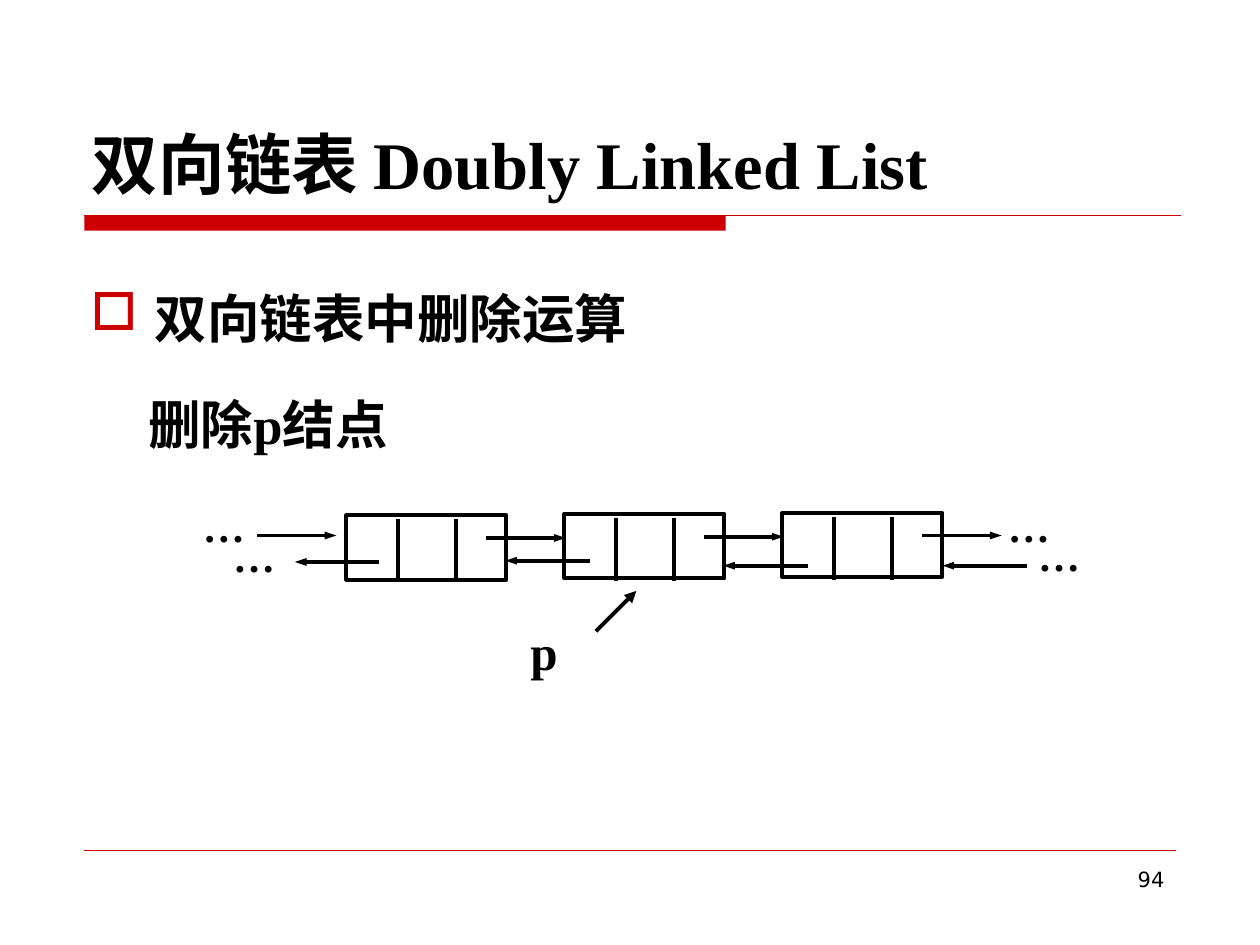
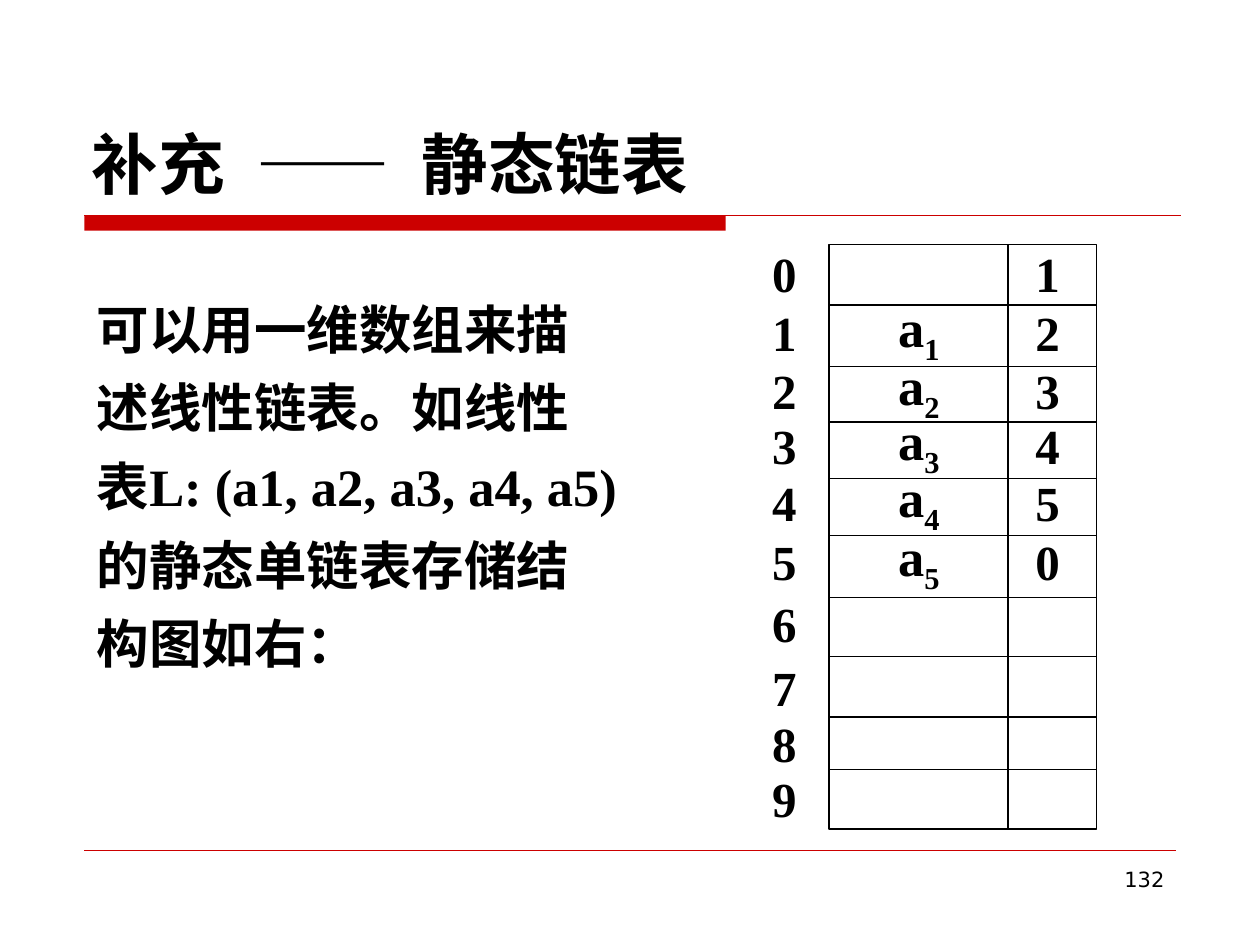
from lxml.etree import SubElement
from pptx import Presentation
from pptx.dml.color import RGBColor
from pptx.enum.shapes import MSO_CONNECTOR, MSO_SHAPE
from pptx.enum.text import MSO_ANCHOR, MSO_AUTO_SIZE, PP_ALIGN
from pptx.oxml.ns import qn
from pptx.util import Inches, Pt

COLORS = {"ink": "000000", "accent": "CC0000", "paper": "FFFFFF"}
SERIF, SANS = "Times New Roman", "DejaVu Sans"

LIST_TITLE = [("双向链表 Doubly Linked List", {})]
ARRAY_TITLE = [("补充", {}), (" ", {"spacing": 950}), ("——", {}),
               (" ", {"spacing": 950}), ("静态链表", {})]
DELETE_HEADING = "双向链表中删除运算"
DELETE_STEP = "删除p结点"
ARRAY_TEXT = [
    ("可以用一维数组来描述线性链表。如线性表", {"font": SANS}),
    ("L: (a1, a2, a3, a4, a5)", {}),
    ("的静态单链表存储结构图如右：", {"font": SANS}),
]

NODE_COUNT = 3
NODE_LEFT, NODE_TOP, NODE_STEP = 2.75, 4.09, 1.73
NODE_WIDTH, NODE_HEIGHT = 1.27, 0.51
FIELD_OFFSETS = (0.41, 0.87)
LINK_LENGTH = 0.63
BACK_LINKS = [(3.01, 4.46), (4.68, 4.45), (6.41, 4.49), (8.15, 4.49)]
BACK_LENGTH = 0.67
ELLIPSES = [(1.61, 3.97), (1.85, 4.21), (8, 3.97), (8.24, 4.2)]

GRID_LEFT, GRID_SPLIT, GRID_RIGHT = 6.58, 8, 8.7
GRID_TOP, GRID_BOTTOM = 1.94, 6.58
ARRAY_ROWS = [
    (1.94, 1.88, "", "1"),
    (2.42, 2.35, "1", "2"),
    (2.91, 2.81, "2", "3"),
    (3.35, 3.25, "3", "4"),
    (3.8, 3.7, "4", "5"),
    (4.25, 4.17, "5", "0"),
    (4.74, 4.66, "", ""),
    (5.21, 5.17, "", ""),
    (5.69, 5.61, "", ""),
    (6.11, 6.05, "", ""),
]


def color(name):
    return RGBColor.from_string(COLORS[name])


def write(para, spans, size=28, font=SERIF, bold=True, align=None,
          line=None, before=None, after=None):
    para.alignment = align
    para.line_spacing = line
    para.space_before = None if before is None else Pt(before)
    para.space_after = None if after is None else Pt(after)
    for text, style in spans:
        span = para.add_run()
        span.text = text
        span.font.name = style.get("font", font)
        span.font.size = Pt(size)
        span.font.bold = bold
        span.font.color.rgb = color("ink")
        for key, attribute in (("spacing", "spc"), ("baseline", "baseline")):
            if key in style:
                span.font._element.set(attribute, str(style[key]))


def add_box(slide, left, top, width, height, inset=True):
    box = slide.shapes.add_textbox(Inches(left), Inches(top), Inches(width), Inches(height))
    frame = box.text_frame
    frame.word_wrap = True
    if not inset:
        frame.margin_left = frame.margin_right = 0
        frame.margin_top = frame.margin_bottom = 0
    return frame


def add_text(slide, text, left, top, width, height, inset=True, **style):
    spans = [(text, {})] if isinstance(text, str) else text
    write(add_box(slide, left, top, width, height, inset).paragraphs[0], spans, **style)


def add_line(slide, start, end, weight, ink="ink", head=None):
    line = slide.shapes.add_connector(
        MSO_CONNECTOR.STRAIGHT, *(Inches(value) for value in start + end))
    line.line.color.rgb = color(ink)
    line.line.width = Pt(weight)
    if head:
        SubElement(line.line._get_or_add_ln(), qn("a:tailEnd"),
                   type="triangle", w=head, len="med")
    SubElement(line._element.spPr, qn("a:effectLst"))


def add_rect(slide, left, top, width, height, fill="paper", weight=None):
    rect = slide.shapes.add_shape(
        MSO_SHAPE.RECTANGLE, Inches(left), Inches(top), Inches(width), Inches(height))
    rect.shadow.inherit = False
    rect.fill.solid()
    rect.fill.fore_color.rgb = color(fill)
    if weight is None:
        rect.line.fill.background()
    else:
        rect.line.color.rgb = color("ink")
        rect.line.width = Pt(weight)


def add_page(deck, title_spans, number):
    slide = deck.slides.add_slide(deck.slide_layouts[5])
    add_rect(slide, 0.67, 1.71, 5.09, 0.12, fill="accent")
    add_line(slide, (0.67, 1.71), (9.37, 1.71), 0.75, "accent")
    add_line(slide, (0.67, 6.75), (9.33, 6.75), 0.25, "accent")
    add_text(slide, number, 7.17, 6.83, 2.17, 0.52,
             size=12, font=SANS, bold=False, align=PP_ALIGN.RIGHT)
    title = slide.shapes.title
    title.left, title.top = Inches(0.63), Inches(0.33)
    title.width, title.height = Inches(8.75), Inches(1.33)
    frame = title.text_frame
    frame.auto_size = MSO_AUTO_SIZE.NONE
    frame.vertical_anchor = MSO_ANCHOR.BOTTOM
    write(frame.paragraphs[0], title_spans, size=38, align=PP_ALIGN.LEFT)
    return slide


def add_delete_text(slide):
    frame = add_box(slide, 0.62, 2.15, 8.75, 4.83)
    heading = frame.paragraphs[0]
    props = heading._p.get_or_add_pPr()
    props.set("marL", str(Inches(0.51)))
    props.set("indent", str(-Inches(0.51)))
    bullet_color = SubElement(props, qn("a:buClr"))
    SubElement(bullet_color, qn("a:srgbClr"), val=COLORS["accent"])
    SubElement(props, qn("a:buChar"), char="□")
    write(heading, [(DELETE_HEADING, {})], size=30, line=1.15, after=7.5)
    step = frame.add_paragraph()
    step._p.get_or_add_pPr().set("marL", str(Inches(0.46)))
    write(step, [(DELETE_STEP, {})], size=30, line=1.15, before=11.2, after=7.5)


def add_linked_list(slide):
    add_line(slide, (2.04, 4.25), (2.67, 4.25), 2.25, head="sm")
    for index in range(NODE_COUNT):
        left = NODE_LEFT + index * NODE_STEP
        top = NODE_TOP - index * 0.01
        add_rect(slide, left, top, NODE_WIDTH, NODE_HEIGHT, weight=2.25)
        for offset in FIELD_OFFSETS:
            x = left + offset
            add_line(slide, (x, top + 0.03), (x, top + 0.53), 2.25)
        start, y = left + 1.11, top + 0.18
        add_line(slide, (start, y), (start + LINK_LENGTH, y), 2.25, head="sm")
    for x, y in BACK_LINKS:
        add_line(slide, (x, y), (x - BACK_LENGTH, y), 2.25, head="sm")
    for left, top in ELLIPSES:
        add_text(slide, "…", left, top, 0.5, 0.51, inset=False, size=24)
    add_text(slide, "p", 4.21, 4.93, 0.47, 0.63, inset=False)
    add_line(slide, (4.73, 5.01), (5.05, 4.69), 2.25, head="med")


def add_static_array(slide):
    add_rect(slide, GRID_LEFT, GRID_TOP, GRID_RIGHT - GRID_LEFT,
             GRID_BOTTOM - GRID_TOP, weight=0.75)
    add_line(slide, (GRID_SPLIT, GRID_TOP), (GRID_SPLIT, GRID_BOTTOM), 0.75)
    for index, (row_top, text_top, element, successor) in enumerate(ARRAY_ROWS):
        if index:
            add_line(slide, (GRID_LEFT, row_top), (GRID_RIGHT, row_top), 0.75)
        add_text(slide, str(index), 6.03, text_top, 0.55, 0.57)
        if element:
            add_text(slide, [("a", {}), (element, {"baseline": -25000})],
                     7.03, text_top - 0.06, 0.73, 0.67, size=30)
        if successor:
            add_text(slide, successor, 8.12, text_top, 0.73, 0.57)


def main():
    deck = Presentation()
    deck.slide_width, deck.slide_height = Inches(10), Inches(7.5)

    list_slide = add_page(deck, LIST_TITLE, "94")
    add_delete_text(list_slide)
    add_linked_list(list_slide)

    array_slide = add_page(deck, ARRAY_TITLE, "132")
    add_text(array_slide, ARRAY_TEXT, 0.67, 2.18, 4.33, 3.23, size=30, line=1.25)
    add_static_array(array_slide)

    deck.save("out.pptx")


if __name__ == "__main__":
    main()
